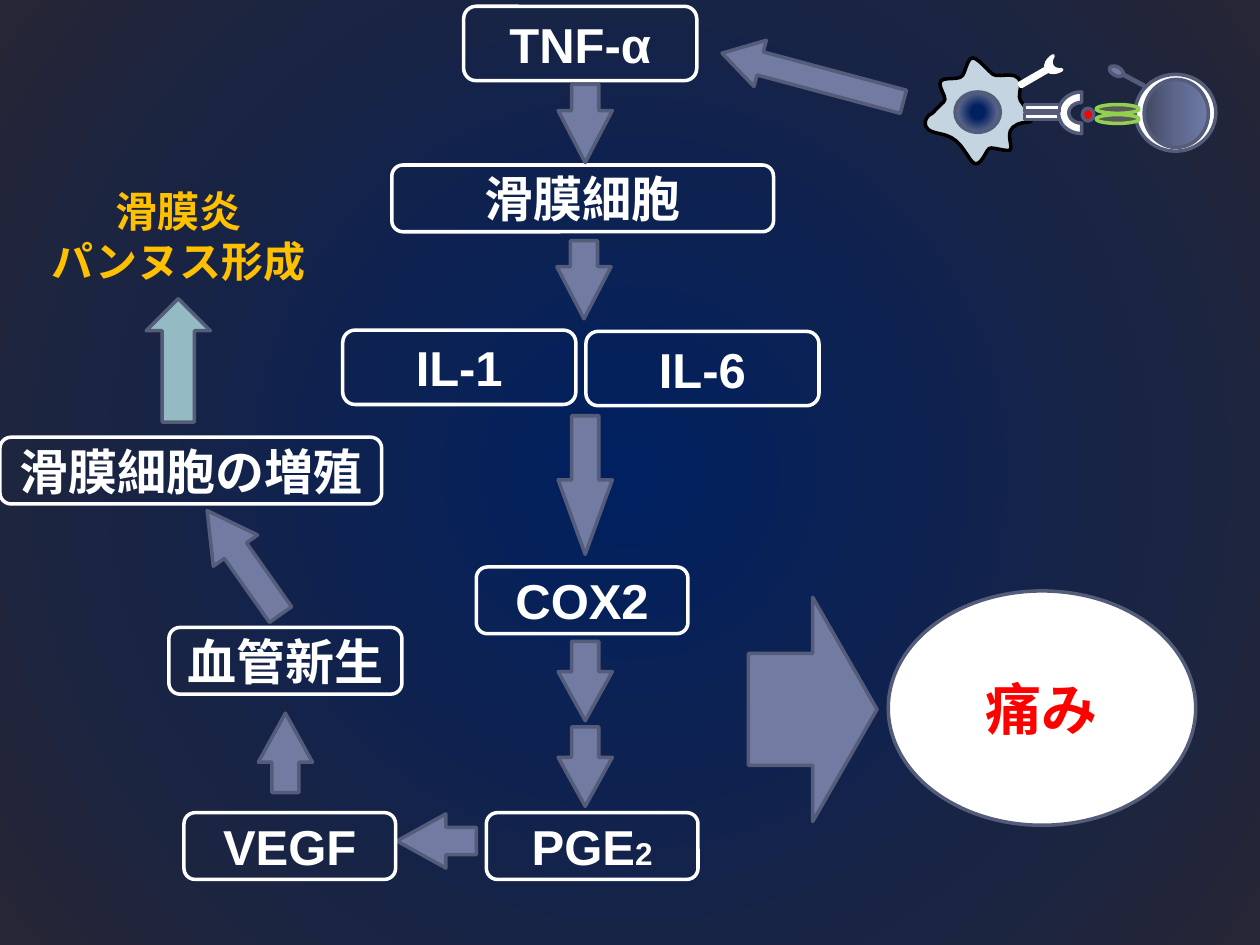
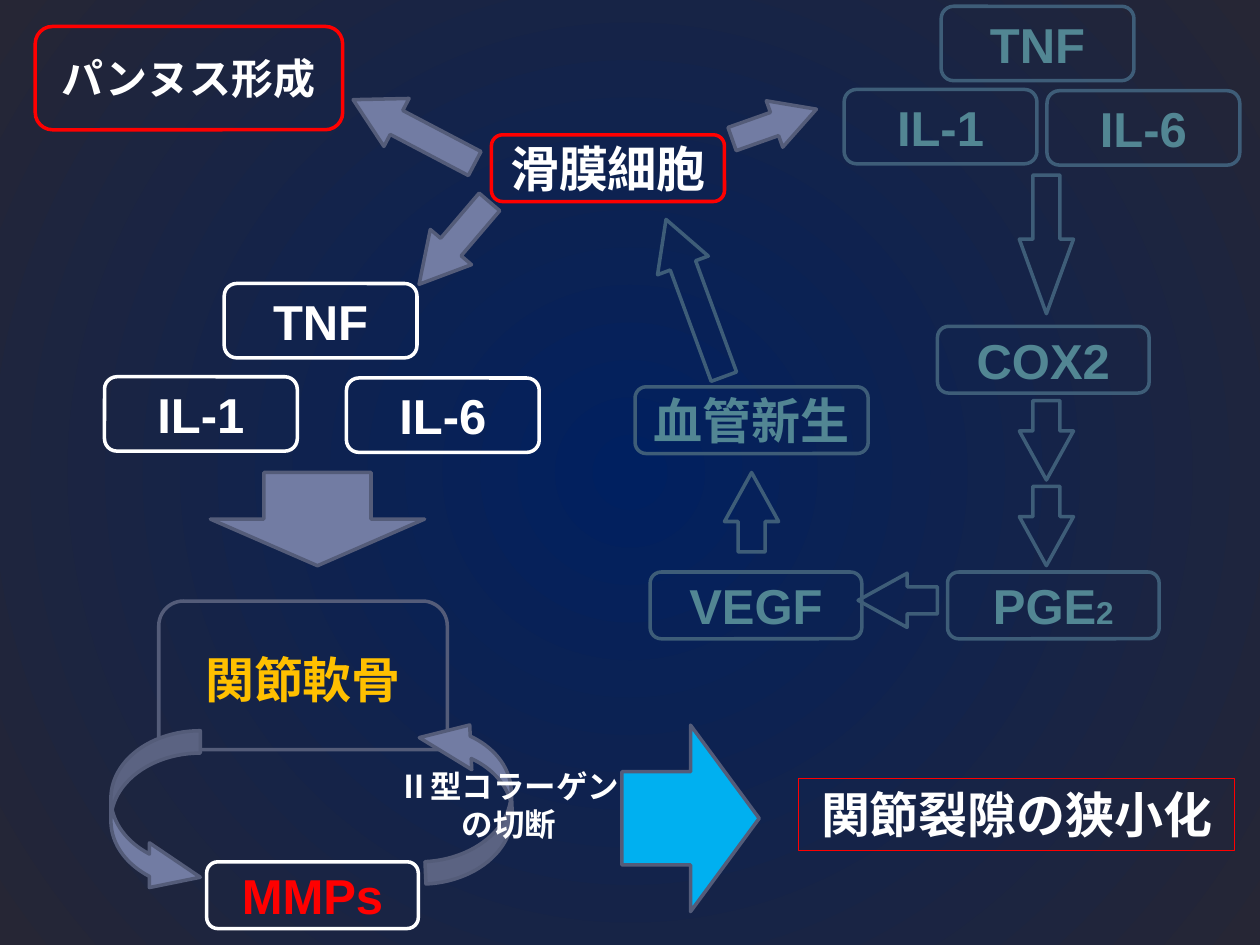
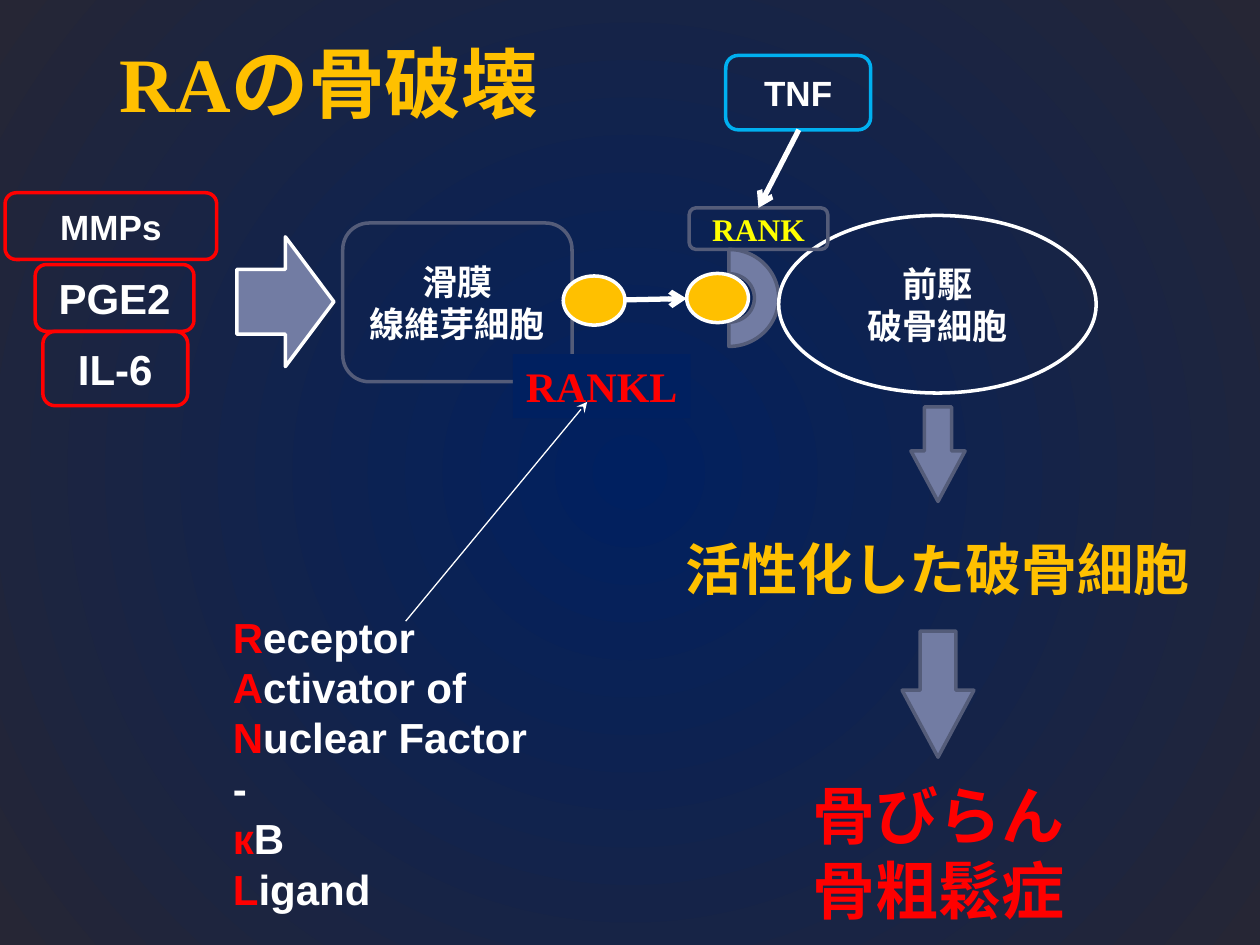
import pptx
import pptx.dml.color
import pptx.enum.shapes
import pptx.enum.text
import pptx.oxml
import pptx.oxml.ns
import pptx.util
from lxml import etree

Inches = pptx.util.Inches
Pt = pptx.util.Pt
qn = pptx.oxml.ns.qn
SHAPE = pptx.enum.shapes.MSO_SHAPE
ALIGN = pptx.enum.text.PP_ALIGN
ANCHOR = pptx.enum.text.MSO_ANCHOR

COLORS = {
    "navy": "002060", "dusk": "262635", "arrow": "727CA3", "edge": "545C79",
    "white": "FFFFFF", "black": "000000", "red": "FF0000", "gold": "FFC000",
    "yellow": "FFFF00", "sky": "00B0F0", "teal": "94BAC3", "green": "92D050",
    "gray": "595959", "cell": "C5D4E1", "faded_edge": "3E5D78",
    "faded_text": "528693", "dark_slate": "414863", "slate": "5D678C",
    "light_slate": "6E7AA7",
}
SANS, SERIF = "Arial", "Times New Roman"
ARROW_WIDTH, ARROW_LENGTH = 0.43, 0.63
ARROW_HEAD = (0.5, 0.904)
LONG_HEAD = (0.5, 1.376)
STEP_HEAD = (0.5, 0.96)
BONE_HEAD = (0.5, 0.932)
FADED = {"line": "faded_edge", "color": "faded_text"}
FADED_ARROW = {"fill": None, "line": "faded_edge"}

# Curves of the macrophage outline: two control points and an end point
CELL_START = (8.19, 0.95)
CELL_CURVES = [
    ((8.18, 0.99), (8.11, 0.95), (8.04, 1.01)),
    ((7.98, 1.06), (8.04, 1.16), (8.02, 1.19)),
    ((7.99, 1.21), (7.87, 1.16), (7.85, 1.18)),
    ((7.83, 1.19), (7.79, 1.31), (7.74, 1.30)),
    ((7.70, 1.29), (7.66, 1.18), (7.59, 1.12)),
    ((7.51, 1.05), (7.42, 1.07), (7.37, 1.03)),
    ((7.32, 0.99), (7.35, 0.93), (7.38, 0.91)),
    ((7.41, 0.90), (7.44, 0.85), (7.49, 0.81)),
    ((7.53, 0.78), (7.43, 0.68), (7.47, 0.64)),
    ((7.51, 0.61), (7.61, 0.64), (7.64, 0.60)),
    ((7.67, 0.55), (7.68, 0.46), (7.72, 0.46)),
    ((7.76, 0.46), (7.83, 0.55), (7.88, 0.59)),
    ((7.92, 0.62), (8.04, 0.57), (8.08, 0.62)),
    ((8.13, 0.66), (8.07, 0.75), (8.10, 0.80)),
    ((8.14, 0.86), (8.20, 0.92), (8.19, 0.95)),
]


def rgb(name):
    return pptx.dml.color.RGBColor.from_string(COLORS[name])


# Fills and lines
def set_gradient(fill, owner, stops, angle=None):
    """Fill with (percent, colour) stops: linear if an angle is given, else circular."""
    fill.gradient()
    gradient = next(owner.iter(qn("a:gradFill")))
    for child in list(gradient):
        gradient.remove(child)
    stop_list = etree.SubElement(gradient, qn("a:gsLst"))
    for percent, color in stops:
        stop = etree.SubElement(stop_list, qn("a:gs"), pos=str(percent * 1000))
        etree.SubElement(stop, qn("a:srgbClr"), val=COLORS[color])
    if angle is not None:
        etree.SubElement(gradient, qn("a:lin"), ang=str(angle * 60000), scaled="0")
    else:
        circle = etree.SubElement(gradient, qn("a:path"), path="circle")
        etree.SubElement(circle, qn("a:fillToRect"),
                         {side: "50000" for side in "ltrb"})


def paint(shape, fill, line, width=2):
    shape.shadow.inherit = False
    if fill:
        shape.fill.solid()
        shape.fill.fore_color.rgb = rgb(fill)
    else:
        shape.fill.background()
    if line:
        shape.line.color.rgb = rgb(line)
        shape.line.width = Pt(width)
    else:
        shape.line.fill.background()


def add_shape(slide, kind, box, fill=None, line="edge", width=2, rotation=0,
              adjustments=()):
    shape = slide.shapes.add_shape(kind, *map(Inches, box))
    paint(shape, fill, line, width)
    shape.rotation = rotation
    for index, value in enumerate(adjustments):
        shape.adjustments[index] = value
    return shape


# Text
def write_text(frame, paragraphs, size, color, font=SANS, align=ALIGN.CENTER,
               anchor=ANCHOR.MIDDLE, grow=False):
    """Each paragraph is a string or a list of (text, overrides) runs."""
    frame.word_wrap = True
    frame.vertical_anchor = anchor
    if grow:
        frame.auto_size = pptx.enum.text.MSO_AUTO_SIZE.SHAPE_TO_FIT_TEXT
    for index, content in enumerate(paragraphs):
        paragraph = frame.add_paragraph() if index else frame.paragraphs[0]
        paragraph.alignment = align
        runs = [(content, {})] if isinstance(content, str) else content
        for text, overrides in runs:
            run = paragraph.add_run()
            run.text = text
            values = {"size": size, "color": color, **overrides}
            formats = {"name": font, "size": Pt(values["size"]), "bold": True}
            for name, value in formats.items():
                setattr(run.font, name, value)
            run.font.color.rgb = rgb(values["color"])


def add_node(slide, box, *paragraphs, kind=SHAPE.ROUNDED_RECTANGLE, fill=None,
             line="white", width=2, size=28, color="white", **text_format):
    shape = add_shape(slide, kind, box, fill, line, width)
    write_text(shape.text_frame, paragraphs, size, color, **text_format)


def add_label(slide, box, *paragraphs, **text_format):
    text_box = slide.shapes.add_textbox(*map(Inches, box))
    write_text(text_box.text_frame, paragraphs, **text_format)


# Arrows
def add_arrow(slide, left, top, width=ARROW_WIDTH, height=ARROW_LENGTH,
              rotation=0, head=ARROW_HEAD, kind=SHAPE.DOWN_ARROW,
              fill="arrow", line="edge"):
    add_shape(slide, kind, (left, top, width, height), fill, line,
              rotation=rotation, adjustments=head)


def add_line_arrow(slide, start, end, width, head):
    connector = slide.shapes.add_connector(
        pptx.enum.shapes.MSO_CONNECTOR.STRAIGHT, *map(Inches, start + end))
    connector.line.color.rgb = rgb("white")
    connector.line.width = Pt(width)
    properties = connector.element.spPr
    etree.SubElement(properties.find(qn("a:ln")), qn("a:tailEnd"), type=head)
    etree.SubElement(properties, qn("a:effectLst"))


# Pathway from COX2 to angiogenesis, seen on two slides
def add_pathway(slide, left, top, vegf_left, node_style, arrow_style):
    def node(x, y, width, *paragraphs):
        add_node(slide, (x, y, width, 0.53), *paragraphs, **node_style)

    def arrow(x, y, **extra):
        add_arrow(slide, x, y, **extra, **arrow_style)

    arrow(left + 0.65, top - 1.2, height=1.1, head=LONG_HEAD)
    node(left, top, 1.68, "COX2")
    for drop in (0.59, 1.27):
        arrow(left + 0.65, top + drop)
    node(left + 0.08, top + 1.95, 1.68, [("PGE", {}), ("2", {"size": 18})])
    arrow(left - 0.53, top + 1.86, rotation=90)
    node(vegf_left, top + 1.95, 1.68, "VEGF")
    arrow(vegf_left + 0.59, top + 1.16, rotation=180)
    node(vegf_left - 0.12, top + 0.48, 1.85, "血管新生")


# Macrophage and T cell
def add_macrophage(slide, steps=6):
    points, start = [], CELL_START
    for first, second, end in CELL_CURVES:
        for step in range(1, steps + 1):
            t = step / steps
            weights = ((1 - t) ** 3, 3 * t * (1 - t) ** 2, 3 * t * t * (1 - t), t ** 3)
            corners = (start, first, second, end)
            points.append(tuple(
                Inches(sum(w * corner[axis] for w, corner in zip(weights, corners)))
                for axis in (0, 1)))
        start = end
    builder = slide.shapes.build_freeform(*map(Inches, CELL_START), scale=1.0)
    builder.add_line_segments(points, close=True)
    paint(builder.convert_to_shape(), "cell", "black")


def add_cell_contact(slide):
    add_macrophage(slide)
    add_shape(slide, SHAPE.OVAL, (9.01, 0.59, 0.64, 0.61), "white")
    t_cell = add_shape(slide, SHAPE.OVAL, (9.08, 0.63, 0.51, 0.54), rotation=180)
    set_gradient(t_cell.fill, t_cell.element,
                 [(0, "dark_slate"), (50, "slate"), (100, "light_slate")], 180)
    receptors = [
        (SHAPE.OVAL, (8.7, 0.91, 0.34, 0.07), "gray", "green", 0),
        (SHAPE.OVAL, (8.7, 0.83, 0.34, 0.07), "gray", "green", 0),
        (SHAPE.RECTANGLE, (8.9, 0.63, 0.19, 0.01), "arrow", "edge", 208.2),
        (SHAPE.OVAL, (8.8, 0.53, 0.12, 0.07), "arrow", "edge", 208.2),
        (SHAPE.RECTANGLE, (8.13, 0.9, 0.28, 0.05), "white", "edge", 0),
        (SHAPE.BLOCK_ARC, (8.42, 0.71, 0.33, 0.37), "white", "edge", 270),
        (SHAPE.RECTANGLE, (8.13, 0.83, 0.28, 0.05), "white", "edge", 0),
        (SHAPE.MOON, (8.3, 0.46, 0.1, 0.13), "white", "white", 328.4),
        (SHAPE.RECTANGLE, (8.08, 0.6, 0.24, 0.03), "white", "white", 150),
        (SHAPE.OVAL, (8.59, 0.86, 0.09, 0.1), "red", "edge", 0),
    ]
    for kind, box, fill, line, rotation in receptors:
        add_shape(slide, kind, box, fill, line, rotation=rotation)
    nucleus = add_shape(slide, SHAPE.OVAL, (7.58, 0.73, 0.36, 0.32))
    set_gradient(nucleus.fill, nucleus.element,
                 [(21, "navy"), (67, "slate"), (100, "light_slate")])


# Slides
def build_pain_slide(slide):
    add_pathway(slide, 3.78, 4.5, 1.46, {}, {})
    for text, box in [
        ("IL-1", (2.72, 2.62, 1.85, 0.59)),
        ("IL-6", (4.65, 2.63, 1.85, 0.59)),
        ("TNF-α", (3.68, 0.05, 1.85, 0.59)),
        ("滑膜細胞の増殖", (0, 3.47, 3.03, 0.53)),
        ("滑膜細胞", (3.11, 1.31, 3.03, 0.53)),
    ]:
        add_node(slide, box, text)
    add_arrow(slide, 1.72, 3.96, height=1.01, rotation=144.8)
    add_arrow(slide, 4.43, 0.67, height=0.62, head=STEP_HEAD)
    add_arrow(slide, 4.42, 1.91, height=0.62, head=STEP_HEAD)
    add_node(slide, (7.05, 4.69, 2.44, 1.86), "痛み", kind=SHAPE.OVAL,
             fill="white", line="edge", size=32, color="red", font=SERIF)
    add_arrow(slide, 5.94, 4.74, 1.02, 1.78, kind=SHAPE.RIGHT_ARROW, head=())
    add_arrow(slide, 1.16, 2.37, 0.51, 0.98, kind=SHAPE.UP_ARROW, head=(),
              fill="teal")
    add_label(slide, (0.04, 1.42, 2.76, 0.91), "滑膜炎", "パンヌス形成",
              size=24, color="gold", anchor=ANCHOR.TOP, grow=True)
    add_arrow(slide, 6.26, -0.13, 0.38, 1.49, rotation=285, head=(0.5, 0.825),
              kind=SHAPE.UP_ARROW)
    add_cell_contact(slide)


def build_cartilage_slide(slide):
    # Cartilage breakdown
    add_node(slide, (3.9, 1.07, 1.85, 0.53), "滑膜細胞", line="red")
    add_node(slide, (1.26, 4.77, 2.29, 1.18), "関節軟骨", line="edge",
             kind=SHAPE.ROUND_2_SAME_RECTANGLE, color="gold", font=SERIF)
    add_node(slide, (1.64, 6.84, 1.68, 0.53), "MMPs", color="red")
    for left, top, rotation in [(0.88, 5.8, 0), (3.35, 5.66, 177.4)]:
        add_arrow(slide, left, top, 0.71, 1.34, rotation, (0.25, 0.5, 0.569),
                  SHAPE.CURVED_RIGHT_ARROW)
    add_label(slide, (3, 6.04, 2.08, 0.71), "Ⅱ型コラーゲン", "の切断",
              size=18, color="white", anchor=ANCHOR.TOP, grow=True)
    add_node(slide, (0.28, 0.21, 2.44, 0.82), "パンヌス形成", line="red",
             size=24, font=SERIF)
    add_arrow(slide, 3.39, 1.5, height=0.86, rotation=40.5)
    add_arrow(slide, 3.07, 0.5, height=1.09, rotation=117.7)
    add_arrow(slide, 1.67, 3.75, 1.7, 0.74, head=())
    add_node(slide, (6.34, 6.18, 3.46, 0.57), "関節裂隙の狭小化",
             kind=SHAPE.RECTANGLE, line="red", width=0.75,
             anchor=ANCHOR.TOP, grow=True)
    add_arrow(slide, 4.74, 5.95, 1.48, 1.09, 90, (), SHAPE.UP_ARROW, "sky")

    # Cytokines, bright and faded
    for text, left, top, style in [
        ("IL-1", 0.83, 2.99, {}), ("IL-6", 2.75, 3, {}), ("TNF", 1.78, 2.25, {}),
        ("IL-1", 6.7, 0.71, FADED), ("IL-6", 8.31, 0.72, FADED),
        ("TNF", 7.47, 0.05, FADED),
    ]:
        add_node(slide, (left, top, 1.53, 0.59), text, **style)

    # Faded pathway back to the synovial cell
    add_pathway(slide, 7.44, 2.59, 5.16, FADED, FADED_ARROW)
    add_arrow(slide, 5.3, 1.7, height=1.33, rotation=159.8, **FADED_ARROW)
    add_arrow(slide, 5.95, 0.63, 0.39, 0.71, rotation=250.5)


def build_bone_slide(slide):
    # Title
    title = slide.shapes.title
    title.left, title.top, title.width, title.height = map(
        Inches, (0.85, 0.02, 6.27, 1.25))
    write_text(title.text_frame, ["RAの骨破壊"], 44, "gold", SERIF, ALIGN.LEFT)

    # Fibroblast, RANKL and precursor cell
    add_node(slide, (2.72, 1.77, 1.82, 1.26), "滑膜", "線維芽細胞",
             line="edge", size=20, font=SERIF)
    add_shape(slide, SHAPE.BLOCK_ARC, (5.4, 1.97, 0.77, 0.79), "arrow", rotation=90)
    add_node(slide, (4.07, 2.81, 1.41, 0.51), "RANKL", kind=SHAPE.RECTANGLE,
             fill="navy", line=None, size=24, color="red", font=SERIF,
             anchor=ANCHOR.TOP, grow=True)
    add_node(slide, (6.18, 1.71, 2.52, 1.41), "前駆", "破骨細胞",
             kind=SHAPE.OVAL, size=20)
    add_node(slide, (5.47, 1.65, 1.1, 0.33), "RANK", line="edge", size=18,
             color="yellow", font=SERIF)
    for left, top in [(4.47, 2.19), (5.45, 2.17)]:
        add_shape(slide, SHAPE.OVAL, (left, top, 0.49, 0.39), "gold", "white")
    add_line_arrow(slide, (4.96, 2.38), (5.45, 2.37), 3, "arrow")

    # Stimuli
    for text, box, size, line in [
        ("IL-6", (0.34, 2.63, 1.15, 0.59), 24, "red"),
        ("MMPs", (0.04, 1.53, 1.68, 0.53), 20, "red"),
        ("PGE2", (0.28, 2.1, 1.26, 0.53), 24, "red"),
        ("TNF", (5.76, 0.44, 1.15, 0.59), 20, "sky"),
    ]:
        add_node(slide, box, text, size=size, line=line)
    add_arrow(slide, 1.88, 1.88, 0.77, 1.03, kind=SHAPE.RIGHT_ARROW, head=(),
              line="white")
    add_line_arrow(slide, (6.34, 1.03), (6.02, 1.65), 3, "arrow")

    # Outcome
    add_label(slide, (5.29, 4.08, 4.3, 0.85), "活性化した破骨細胞",
              size=32, color="gold", font=SERIF)
    add_arrow(slide, 7.23, 3.23, height=0.75, head=BONE_HEAD)
    add_arrow(slide, 7.16, 5.01, 0.57, 1, head=BONE_HEAD)
    add_label(slide, (5.92, 6.11, 3.06, 1.31), "骨びらん", "骨粗鬆症", size=36,
              color="red", font=SERIF, anchor=ANCHOR.TOP, grow=True)

    # Meaning of the abbreviation
    words = ["Receptor", "Activator of", "Nuclear Factor -", "кB", "Ligand"]
    add_label(slide, (1.75, 4.8, 2.72, 2.12),
              *[[(word[0], {"color": "red"}), (word[1:], {})] for word in words],
              size=24, color="white", align=ALIGN.LEFT, anchor=ANCHOR.TOP, grow=True)
    add_line_arrow(slide, (3.22, 4.93), (4.66, 3.19), 0.75, "stealth")


def main():
    presentation = pptx.Presentation()
    presentation.slide_width = Inches(10)
    presentation.slide_height = Inches(7.5)
    master = presentation.slide_master
    set_gradient(master.background.fill, master.element,
                 [(0, "navy"), (100, "dusk")])
    title_only, blank = presentation.slide_layouts[5], presentation.slide_layouts[6]
    for layout, build in [(blank, build_pain_slide), (blank, build_cartilage_slide),
                          (title_only, build_bone_slide)]:
        build(presentation.slides.add_slide(layout))
    presentation.save("out.pptx")


if __name__ == "__main__":
    main()
